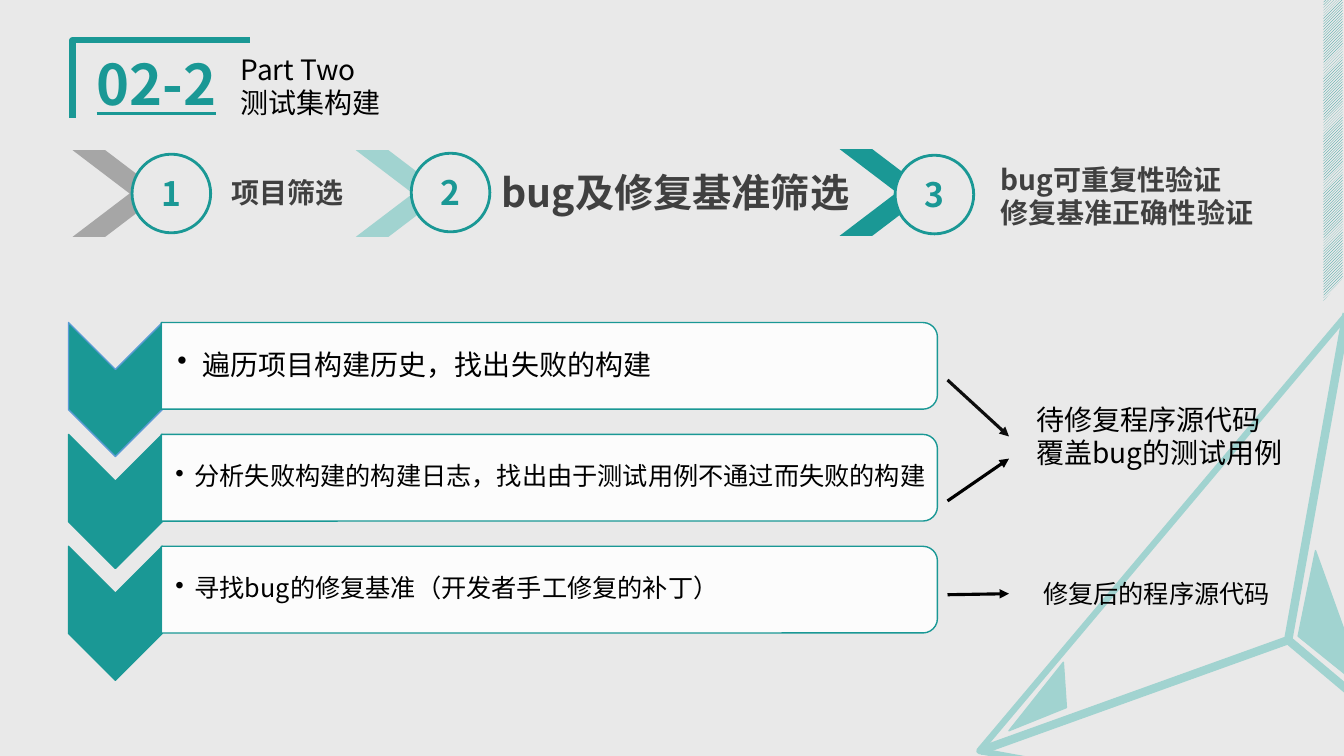
from dataclasses import dataclass

from lxml.etree import SubElement
from pptx import Presentation
from pptx.dml.color import RGBColor
from pptx.enum.dml import MSO_PATTERN
from pptx.enum.shapes import MSO_CONNECTOR, MSO_SHAPE as Kind
from pptx.enum.text import MSO_ANCHOR as Anchor, PP_ALIGN as Align
from pptx.oxml.ns import qn
from pptx.util import Emu, Inches, Pt

FONT = "Noto Sans CJK SC"
COLS, ROWS = 160, 90
CELL = Inches(1) // 12
STAGE_PITCH = 13.32
COLORS = {
    "paper": "E9E9E9", "teal": "1A9895", "mint": "A1D3D0", "gray": "A6A6A6",
    "blue": "5B9BD5", "white": "FFFFFF", "label": "404040", "black": "000000",
    "ink": "0D0D0D",
}

Point = tuple[float, float]


@dataclass(frozen=True)
class Area:
    col: float
    row: float
    cols: float
    rows: float


@dataclass(frozen=True)
class Style:
    size: float
    color: str = "black"
    bold: bool = False
    underline: bool = False


@dataclass(frozen=True)
class Caption:
    area: Area
    lines: tuple[str, ...]
    style: Style


@dataclass(frozen=True)
class Step:
    chevron: Point
    circle: Point
    color: str
    caption: Caption


@dataclass(frozen=True)
class Stage:
    text: str
    size: float
    inset: float
    indent: float
    edge: str


@dataclass(frozen=True)
class Stroke:
    start: Point
    end: Point
    color: str
    width: float
    arrow: bool = False


STEP_LABEL = Style(20, "label", bold=True)
NUMBER = Style(24, "teal", bold=True)
STEPS = (
    Step((8.64, 17.88), (15.72, 18.36), "gray",
         Caption(Area(26.4, 20.28, 16.5, 5.28), ("项目筛选",), STEP_LABEL)),
    Step((42.36, 17.88), (48.96, 18.24), "mint",
         Caption(Area(58.56, 19.44, 44.76, 6.84), ("bug及修复基准筛选",),
                 Style(28, "label", bold=True))),
    Step((99.96, 17.76), (106.56, 18.48), "teal",
         Caption(Area(117.96, 18.72, 32.76, 9.24),
                 ("bug可重复性验证", "修复基准正确性验证"), STEP_LABEL)),
)
STAGES = (
    Stage("遍历项目构建历史，找出失败的构建", 20, 0.16, 0.25, "blue"),
    Stage("分析失败构建的构建日志，找出由于测试用例不通过而失败的构建", 18, 0.14, 0.19, "teal"),
    Stage("寻找bug的修复基准（开发者手工修复的补丁）", 18, 0.14, 0.19, "teal"),
)
CAPTIONS = (
    Caption(Area(122.16, 47.28, 34.92, 9.24), ("待修复程序源代码", "覆盖bug的测试用例"), Style(20)),
    Caption(Area(123, 68.28, 31.32, 4.8), ("修复后的程序源代码",), Style(18)),
    Caption(Area(10.32, 5.28, 23.4, 9.24), ("02-2",),
            Style(40, "teal", bold=True, underline=True)),
    Caption(Area(27.48, 5.64, 28.8, 9.24), ("Part Two", "测试集构建"), Style(20)),
)
ARROWS = (
    Stroke((112.8, 45.24), (120.12, 51.96), "ink", 2.25, True),
    Stroke((112.8, 59.64), (120.12, 54.6), "black", 2.25, True),
    Stroke((112.8, 70.8), (120.12, 70.68), "black", 2.25, True),
)
HUB = (153.36, 76.2)
MESH_CORNERS = ((116.64, 89.4), (183.48, 101.52), (160.32, 37.32))
MESH_TURN = 250.2


def grid(cells: float) -> Emu:
    return Emu(round(cells * CELL))


def box(area: Area) -> tuple[Emu, Emu, Emu, Emu]:
    return grid(area.col), grid(area.row), grid(area.cols), grid(area.rows)


def rgb(name: str) -> RGBColor:
    return RGBColor.from_string(COLORS[name])


def finish(shape, fill: str | None, line: str | None = None, width: float = 1):
    shape.shadow.inherit = False
    if fill:
        shape.fill.solid()
        shape.fill.fore_color.rgb = rgb(fill)
    else:
        shape.fill.background()
    if line:
        shape.line.color.rgb = rgb(line)
        shape.line.width = Pt(width)
    else:
        shape.line.fill.background()
    return shape


def draw_shape(page, kind: Kind, area: Area, fill: str, line: str | None = None,
               width: float = 1, turn: float = 0):
    shape = page.shapes.add_shape(kind, *box(area))
    shape.rotation = turn
    return finish(shape, fill, line, width)


def draw_outline(page, points: tuple[Point, ...], close: bool, fill: str | None,
                 line: str, width: float) -> None:
    first, *others = [(grid(col), grid(row)) for col, row in points]
    builder = page.shapes.build_freeform(*first)
    builder.add_line_segments(others, close=close)
    finish(builder.convert_to_shape(), fill, line, width)


def draw_stroke(page, stroke: Stroke) -> None:
    ends = [grid(value) for value in (*stroke.start, *stroke.end)]
    connector = page.shapes.add_connector(MSO_CONNECTOR.STRAIGHT, *ends)
    connector.line.color.rgb = rgb(stroke.color)
    connector.line.width = Pt(stroke.width)
    properties = connector.line._get_or_add_ln()
    if stroke.arrow:
        SubElement(properties, qn("a:tailEnd"), type="triangle")
    SubElement(properties.getparent(), qn("a:effectLst"))


def style_paragraph(para, text: str, style: Style) -> None:
    para.add_run().text = text
    font = para.font
    font.name, font.size, font.bold = FONT, Pt(style.size), style.bold
    font.underline = style.underline
    font.color.rgb = rgb(style.color)
    SubElement(para._p.pPr.find(qn("a:defRPr")), qn("a:ea"), typeface=FONT)


def draw_caption(page, caption: Caption):
    frame = page.shapes.add_textbox(*box(caption.area)).text_frame
    frame.word_wrap = True
    for index, text in enumerate(caption.lines):
        para = frame.add_paragraph() if index else frame.paragraphs[0]
        style_paragraph(para, text, caption.style)
    return frame


def draw_backdrop(page) -> None:
    strip = draw_shape(page, Kind.RECTANGLE, Area(113.52, 43.68, 90.36, 2.28), "paper", turn=270)
    strip.fill.patterned()
    strip.fill.pattern = MSO_PATTERN.LIGHT_UPWARD_DIAGONAL
    strip.fill.fore_color.rgb = rgb("teal")
    strip.fill.back_color.rgb = rgb("paper")
    draw_outline(page, ((8.64, 14.04), (8.64, 4.8), (29.76, 4.8)), False, None, "teal", 4.5)
    for area, fill, line, width in (
        (Area(103.8, 46.32, 78.36, 67.56), "paper", "paper", 4.5),
        (Area(110.16, 50.04, 68.16, 58.8), "paper", "mint", 4.5),
        (Area(148.2, 72.12, 17.76, 5.4), "mint", "mint", 1),
    ):
        draw_shape(page, Kind.ISOSCELES_TRIANGLE, area, fill, line, width, MESH_TURN)
    for corner in MESH_CORNERS:
        draw_stroke(page, Stroke(corner, HUB, "mint", 6))
    draw_outline(page, ((126.96, 84.24), (126.6, 78.84), (120.12, 87)), True, "mint", "mint", 1)


def draw_step(page, number: int, step: Step) -> None:
    chevron = draw_shape(page, Kind.CHEVRON, Area(*step.chevron, 10.68, 10.32), step.color)
    chevron.adjustments[0] = 0.658
    circle = draw_shape(page, Kind.OVAL, Area(*step.circle, 9.36, 9.36), "paper", "teal", 2)
    circle.text_frame.vertical_anchor = Anchor.MIDDLE
    para = circle.text_frame.paragraphs[0]
    para.alignment = Align.CENTER
    style_paragraph(para, str(number), NUMBER)
    draw_caption(page, step.caption)


def draw_stage(page, index: int, stage: Stage) -> None:
    drop = index * STAGE_PITCH
    draw_shape(page, Kind.CHEVRON, Area(5.76, 40.8 + drop, 15.96, 11.16), "teal", stage.edge, turn=90)
    bar = draw_shape(page, Kind.ROUND_2_SAME_RECTANGLE,
                     Area(60.24, drop - 2.64, 10.32, 92.4), "white", "teal", turn=90)
    SubElement(bar._element.spPr.find(f".//{qn('a:srgbClr')}"), qn("a:alpha"), val="90000")
    frame = draw_caption(page, Caption(Area(19.2, 38.88 + drop, 91.92, 9.36),
                                       (stage.text,), Style(stage.size)))
    frame.vertical_anchor = Anchor.MIDDLE
    frame.margin_left = Inches(stage.inset)
    frame.margin_top = frame.margin_right = frame.margin_bottom = Inches(0.01)
    para = frame.paragraphs[0]
    para.line_spacing = 0.9
    properties = para._p.pPr
    properties.set("marL", str(Inches(stage.indent)))
    properties.set("indent", str(-Inches(stage.indent)))
    bullet = SubElement(properties, qn("a:buChar"), char="•")
    properties.find(qn("a:defRPr")).addprevious(bullet)


def main() -> None:
    deck = Presentation()
    deck.slide_width, deck.slide_height = grid(COLS), grid(ROWS)
    page = deck.slides.add_slide(deck.slide_layouts[6])
    page.background.fill.solid()
    page.background.fill.fore_color.rgb = rgb("paper")
    draw_backdrop(page)
    for number, step in enumerate(STEPS, 1):
        draw_step(page, number, step)
    for index, stage in enumerate(STAGES):
        draw_stage(page, index, stage)
    for arrow in ARROWS:
        draw_stroke(page, arrow)
    for caption in CAPTIONS:
        draw_caption(page, caption)
    deck.save("out.pptx")


if __name__ == "__main__":
    main()
